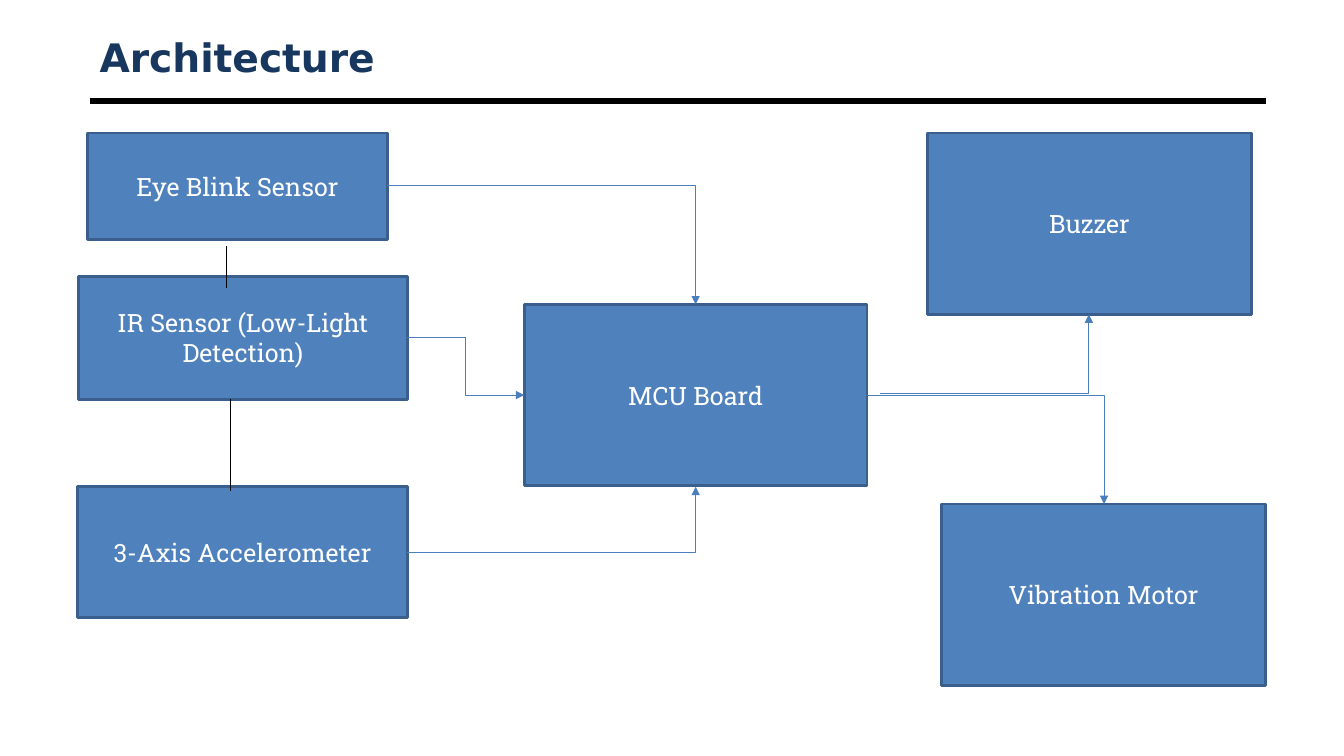
import pptx
import pptx.util
import pptx.dml.color
import pptx.enum.shapes
import pptx.enum.text
import pptx.oxml.ns
from lxml import etree

PX = 9144  # EMU per px, 100 px to the inch
THEME = {
    "title": "17375E", "rule": "000000", "box": "4F81BD", "box_line": "3A5F8C",
    "box_text": "FFFFFF", "arrow": "4B7EBC",
    "title_font": "DejaVu Sans", "box_font": "Roboto Slab",
    "title_size": 28, "box_size": 18,
    "rule_width": 4.5, "box_width": 2, "thin_width": 0.75,
}

presentation = pptx.Presentation()
presentation.slide_width = 1333 * PX
presentation.slide_height = 750 * PX
slide = presentation.slides.add_slide(presentation.slide_layouts[6])


def set_text(shape, text, prefix):
    frame = shape.text_frame
    frame.word_wrap = True
    frame.vertical_anchor = pptx.enum.text.MSO_ANCHOR.MIDDLE
    frame.text = text
    font = frame.paragraphs[0].runs[0].font
    font.name = THEME[prefix + "_font"]
    font.size = pptx.util.Pt(THEME[prefix + "_size"])
    return frame.paragraphs[0], font


def add_line(points, color, width, kind="line"):
    connector = slide.shapes.add_connector(
        pptx.enum.shapes.MSO_CONNECTOR.STRAIGHT, *[value * PX for value in points])
    connector.line.color.rgb = pptx.dml.color.RGBColor.from_string(THEME[color])
    connector.line.width = pptx.util.Pt(THEME[width])
    properties = connector._element.spPr
    properties.find(pptx.oxml.ns.qn("a:prstGeom")).set("prst", kind)
    etree.SubElement(properties, pptx.oxml.ns.qn("a:effectLst"))
    return connector


# Title and rule
add_line((89, 100, 1256, 100), "rule", "rule_width")
title = slide.shapes.add_textbox(89 * PX, 30 * PX, 1167 * PX, 53 * PX)
paragraph, font = set_text(title, "Architecture", "title")
font.bold = True
font.color.rgb = pptx.dml.color.RGBColor.from_string(THEME["title"])

# Component boxes: left, top, width, height
boxes = [
    ("Eye Blink Sensor", 87, 132, 297, 106),
    ("MCU Board", 520, 302, 340, 180),
    ("IR Sensor (Low-Light Detection)", 78, 274, 326, 122),
    ("3-Axis Accelerometer", 77, 483, 327, 130),
    ("Buzzer", 920, 132, 321, 180),
    ("Vibration Motor", 934, 500, 321, 180),
]
for text, *bounds in boxes:
    box = slide.shapes.add_shape(
        pptx.enum.shapes.MSO_SHAPE.RECTANGLE, *[value * PX for value in bounds])
    box.shadow.inherit = False
    box.fill.solid()
    box.fill.fore_color.rgb = pptx.dml.color.RGBColor.from_string(THEME["box"])
    box.line.color.rgb = pptx.dml.color.RGBColor.from_string(THEME["box_line"])
    box.line.width = pptx.util.Pt(THEME["box_width"])
    paragraph, font = set_text(box, text, "box")
    paragraph.alignment = pptx.enum.text.PP_ALIGN.CENTER
    font.color.rgb = pptx.dml.color.RGBColor.from_string(THEME["box_text"])

# Links between the sensors
for points in [(229, 396, 229, 487), (225, 244, 225, 286)]:
    add_line(points, "rule", "thin_width")

# Signal arrows: sensors to the board, board to the outputs
arrows = [
    ((384, 184, 690, 302), "bentConnector2"),
    ((404, 335, 520, 392), "bentConnector3"),
    ((404, 548, 690, 483), "bentConnector2"),
    ((873, 390, 1080, 312), "bentConnector2"),
    ((860, 392, 1095, 500), "bentConnector2"),
]
for points, kind in arrows:
    arrow = add_line(points, "arrow", "thin_width", kind)
    outline = arrow.line._get_or_add_ln()
    etree.SubElement(outline, pptx.oxml.ns.qn("a:tailEnd"), type="triangle")

presentation.save("out.pptx")
